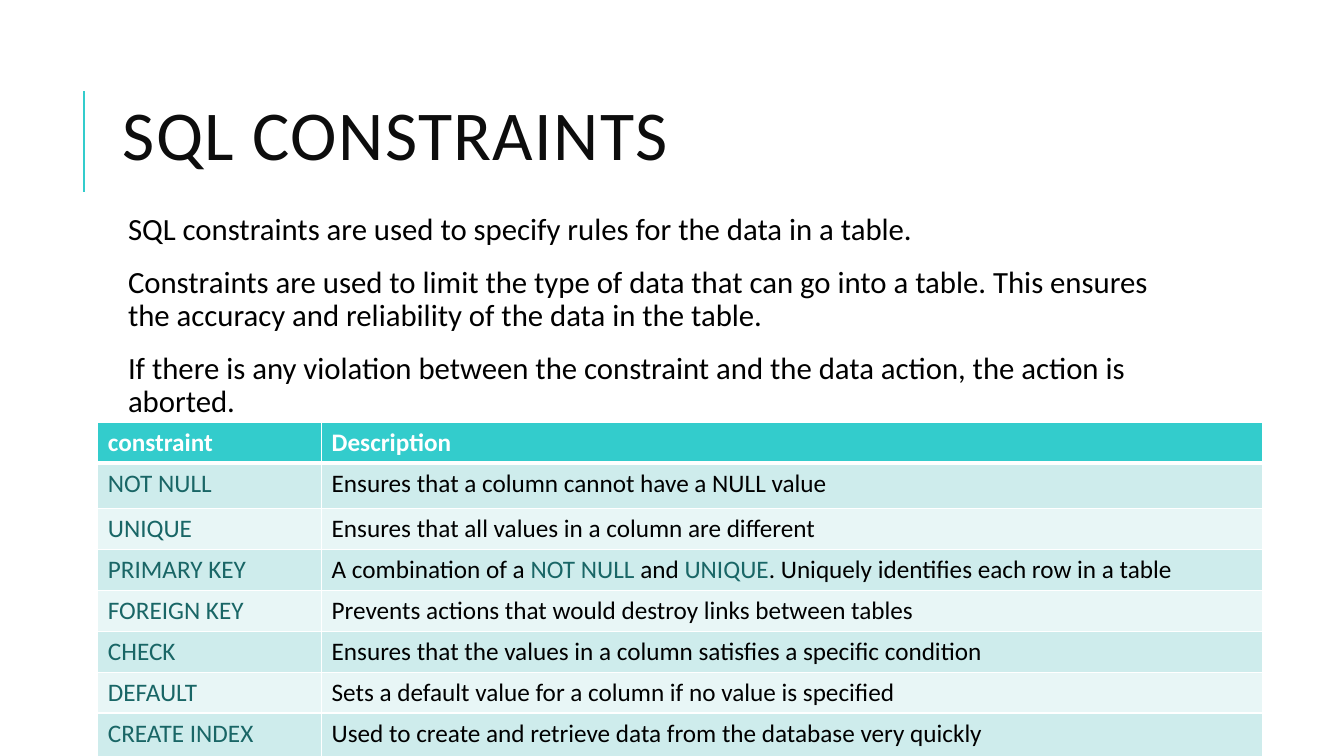
from lxml.etree import SubElement
from pptx import Presentation
from pptx.dml.color import RGBColor
from pptx.enum.shapes import MSO_CONNECTOR
from pptx.enum.text import MSO_ANCHOR
from pptx.oxml.ns import qn
from pptx.util import Inches, Pt

ACCENT, KEYWORD, BLACK, WHITE = "33CCCC", "196666", "000000", "FFFFFF"
BANDS = ("CEECEC", "E8F6F6")

INTRODUCTION = [
    "SQL constraints are used to specify rules for the data in a table.",
    "Constraints are used to limit the type of data that can go into a table. "
    "This ensures the accuracy and reliability of the data in the table.",
    "If there is any violation between the constraint and the data action, "
    "the action is aborted.",
]
HEADINGS = ("constraint", "Description")
# Descriptions alternate between plain text and keywords.
CONSTRAINTS = [
    ("NOT NULL", ["Ensures that a column cannot have a NULL value"]),
    ("UNIQUE", ["Ensures that all values in a column are different"]),
    ("PRIMARY KEY", ["A combination of a ", "NOT NULL", " and ", "UNIQUE",
                     ". Uniquely identifies each row in a table"]),
    ("FOREIGN KEY", ["Prevents actions that would destroy links between tables"]),
    ("CHECK", ["Ensures that the values in a column satisfies a specific condition"]),
    ("DEFAULT", ["Sets a default value for a column if no value is specified"]),
    ("CREATE INDEX", ["Used to create and retrieve data from the database very quickly"]),
]
COLUMN_WIDTHS = (2.22, 9.33)
ROW_HEIGHTS = (0.36, 0.45, *[0.36] * 5, 0.71)


def color(value):
    return RGBColor.from_string(value)


def apply(target, **values):
    for name, value in values.items():
        setattr(target, name, value)


class SlideBuilder:
    font_name = "Calibri"

    def __init__(self, slide):
        self.slide = slide

    def add_run(self, paragraph, text, size, color_value, bold=False):
        run = paragraph.add_run()
        run.text = text
        apply(run.font, name=self.font_name, size=Pt(size), bold=bold)
        run.font.color.rgb = color(color_value)
        return run

    def add_line(self, start, end, color_value, width):
        points = [Inches(value) for value in (*start, *end)]
        connector = self.slide.shapes.add_connector(MSO_CONNECTOR.STRAIGHT, *points)
        connector.line.width = Pt(width)
        connector.line.color.rgb = color(color_value)
        SubElement(connector._element.spPr, qn("a:effectLst"))

    def add_text(self, box, texts, size, color_value, frame_format, paragraph_format,
                 tracking=0):
        """Write one paragraph per text; tracking is in points."""
        shape = self.slide.shapes.add_textbox(*[Inches(value) for value in box])
        frame = shape.text_frame
        apply(frame, word_wrap=True, **frame_format)
        for index, text in enumerate(texts):
            paragraph = frame.add_paragraph() if index else frame.paragraphs[0]
            apply(paragraph, **paragraph_format)
            run = self.add_run(paragraph, text, size, color_value)
            if tracking:
                run.font._element.set("spc", str(tracking * 100))

    def add_table(self, left, top, widths, heights):
        box = [Inches(value) for value in (left, top, sum(widths), sum(heights))]
        table = self.slide.shapes.add_table(len(heights), len(widths), *box).table
        for column, width in zip(table.columns, widths):
            column.width = Inches(width)
        for row, height in zip(table.rows, heights):
            row.height = Inches(height)
        return table

    def fill_cell(self, cell, runs, fill, top_border=1, bottom_border=1):
        """Fill a cell with runs given as (text, color, bold)."""
        cell.fill.solid()
        cell.fill.fore_color.rgb = color(fill)
        for text, color_value, bold in runs:
            self.add_run(cell.text_frame.paragraphs[0], text, 18, color_value, bold)
        properties = cell._tc.get_or_add_tcPr()
        borders = {"lnL": 1, "lnR": 1, "lnT": top_border, "lnB": bottom_border}
        for position, (tag, width) in enumerate(borders.items()):
            border = SubElement(properties, qn(f"a:{tag}"), w=str(Pt(width)))
            border_fill = SubElement(border, qn("a:solidFill"))
            SubElement(border_fill, qn("a:srgbClr"), val=WHITE)
            properties.insert(position, border)


def main():
    presentation = Presentation()
    apply(presentation, slide_width=Inches(13.33), slide_height=Inches(7.5))
    builder = SlideBuilder(presentation.slides.add_slide(presentation.slide_layouts[6]))

    builder.add_line((0.83, 1.9), (0.83, 0.9), ACCENT, 1.5)

    table = builder.add_table(0.97, 4.19, COLUMN_WIDTHS, ROW_HEIGHTS)
    for column, heading in enumerate(HEADINGS):
        builder.fill_cell(table.cell(0, column), [(heading, WHITE, True)], ACCENT,
                          bottom_border=3)
    for row, (keyword, description) in enumerate(CONSTRAINTS, start=1):
        fill = BANDS[(row - 1) % 2]
        top_border = 3 if row == 1 else 1
        description_runs = [(text, KEYWORD if index % 2 else BLACK, False)
                            for index, text in enumerate(description)]
        for column, runs in enumerate(([(keyword, KEYWORD, False)], description_runs)):
            builder.fill_cell(table.cell(row, column), runs, fill, top_border)

    builder.add_text((1.12, 0.89, 10.63, 1.01), ["SQL CONSTRAINTS"], 50, "0D0D0D",
                     {"vertical_anchor": MSO_ANCHOR.MIDDLE},
                     {"line_spacing": 0.8}, tracking=1)
    margin = Inches(0.05)
    builder.add_text((1.12, 2.07, 10.63, 4.83), INTRODUCTION, 22, BLACK,
                     {"margin_left": Inches(0.15), "margin_right": margin,
                      "margin_top": margin, "margin_bottom": margin},
                     {"line_spacing": 0.9, "space_before": Pt(12), "space_after": Pt(2)})

    presentation.save("out.pptx")


if __name__ == "__main__":
    main()
